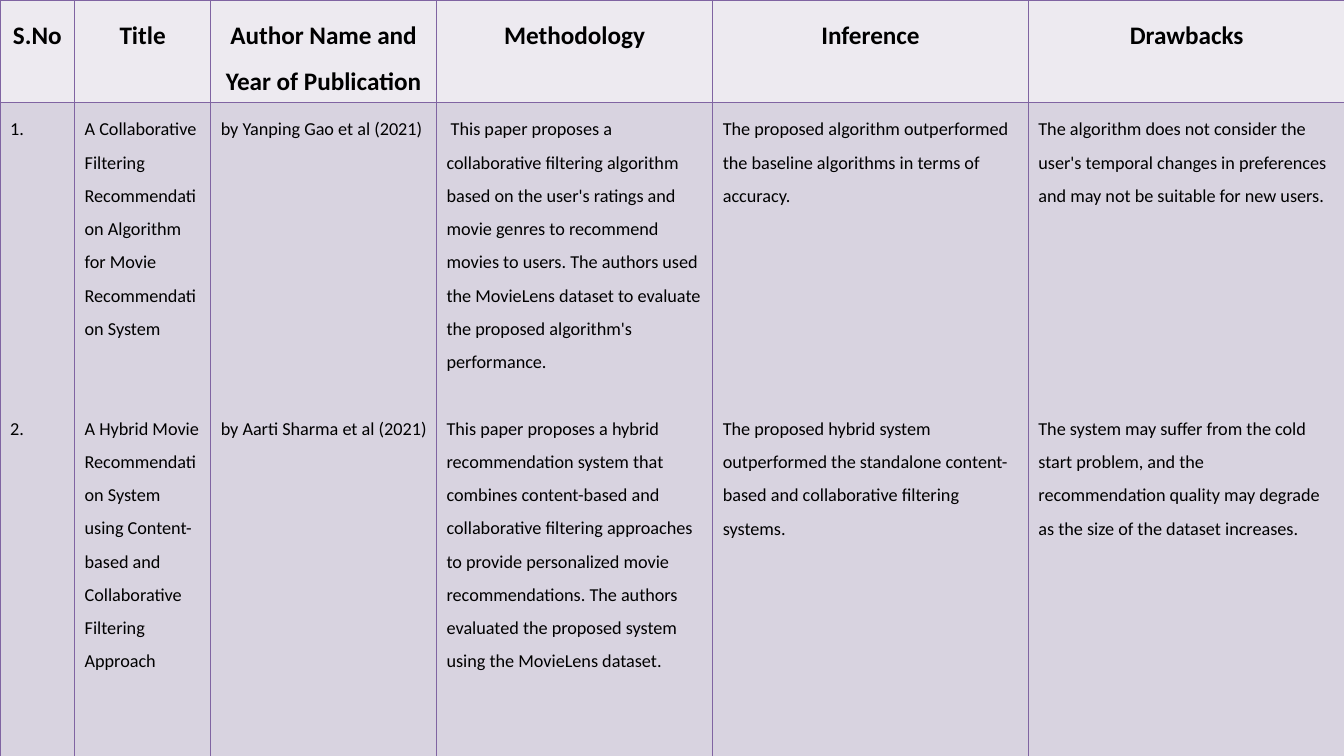
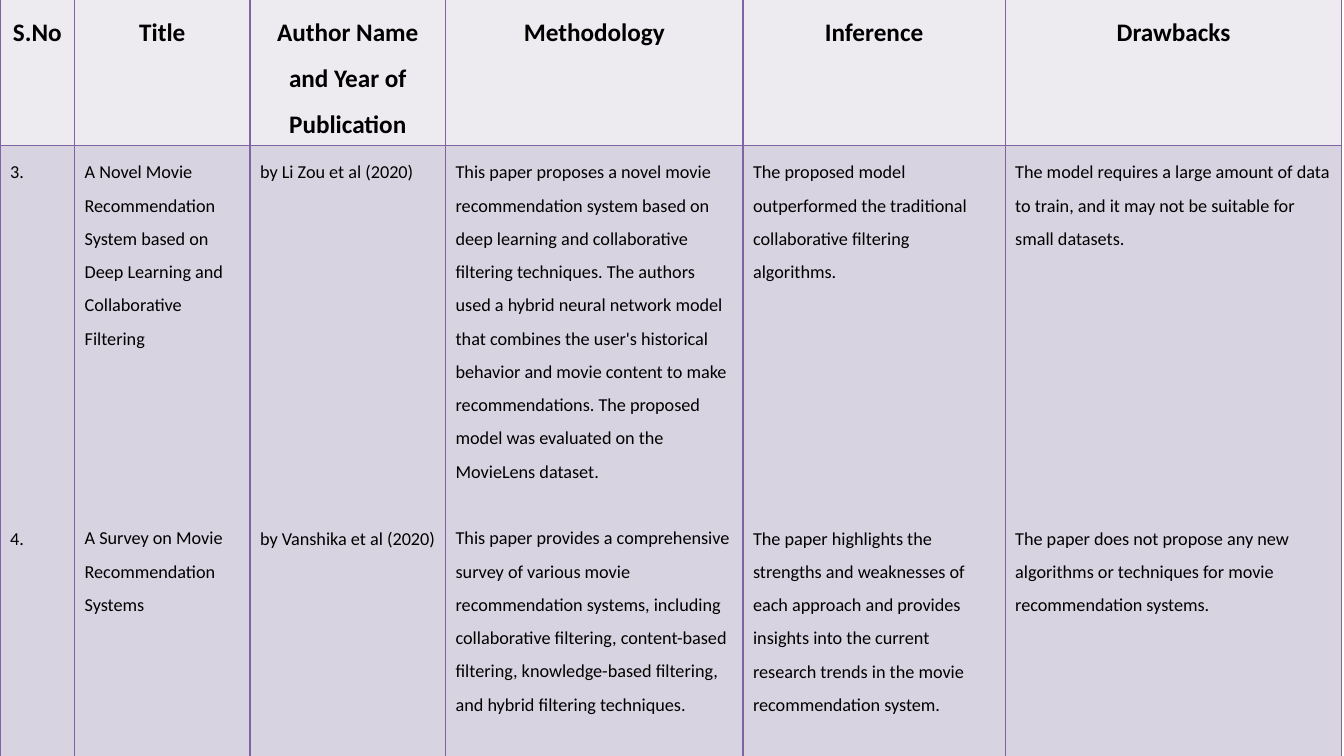
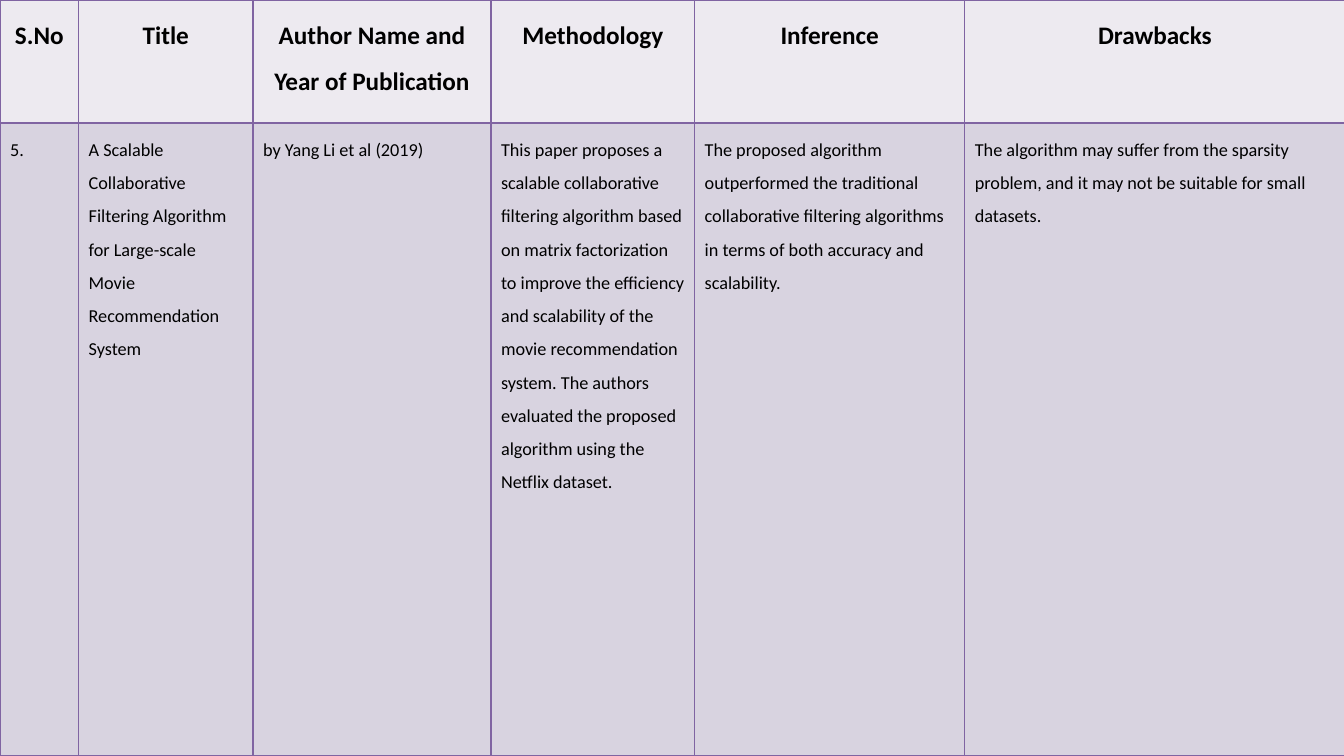
from lxml import etree
from pptx import Presentation
from pptx.dml.color import RGBColor
from pptx.enum.text import PP_ALIGN
from pptx.oxml.ns import qn
from pptx.util import Inches, Pt

CENTER, LEFT = PP_ALIGN.CENTER, PP_ALIGN.LEFT
COLORS = {"text": "000000", "header": "EDEAF0", "body": "D8D3E0", "border": "8064A2"}
FONT = "Calibri"
HEADER_SIZE, BODY_SIZE = 18, 13
LINE_SPACING = 1.5
BODY_LINE = 23.8
BORDER_WIDTH = Pt(1)
HEADINGS = ["S.No", "Title", "Author Name and Year of Publication",
            "Methodology", "Inference", "Drawbacks"]

SURVEY_PAGES = [
    {
        "top": 0,
        "columns": [0.74, 1.35, 2.24, 2.74, 3.13, 3.14],
        "rows": [1.01, 6.5],
        "studies": [
            ["1.",
             "A Collaborative Filtering Recommendation Algorithm for Movie "
             "Recommendation System",
             "by Yanping Gao et al (2021)",
             " This paper proposes a collaborative filtering algorithm based on the "
             "user's ratings and movie genres to recommend movies to users. The authors "
             "used the MovieLens dataset to evaluate the proposed algorithm's performance.",
             "The proposed algorithm outperformed the baseline algorithms in terms of "
             "accuracy.",
             "The algorithm does not consider the user's temporal changes in preferences "
             "and may not be suitable for new users."],
            ["2.",
             "A Hybrid Movie Recommendation System using Content-based and "
             "Collaborative Filtering Approach",
             "by Aarti Sharma et al (2021)",
             "This paper proposes a hybrid recommendation system that combines "
             "content-based and collaborative filtering approaches to provide "
             "personalized movie recommendations. The authors evaluated the proposed "
             "system using the MovieLens dataset.",
             "The proposed hybrid system outperformed the standalone content-based and "
             "collaborative filtering systems.",
             "The system may suffer from the cold start problem, and the recommendation "
             "quality may degrade as the size of the dataset increases."],
        ],
        "gap_lines": [8, 2, 8, 1, 6, 6],
    },
    {
        "top": -0.03,
        "columns": [0.74, 1.74, 1.94, 2.95, 2.6, 3.34],
        "rows": [1.47, 6.12],
        "studies": [
            ["3.",
             "A Novel Movie Recommendation System based on Deep Learning and "
             "Collaborative Filtering",
             "by Li Zou et al (2020)",
             "This paper proposes a novel movie recommendation system based on deep "
             "learning and collaborative filtering techniques. The authors used a hybrid "
             "neural network model that combines the user's historical behavior and movie "
             "content to make recommendations. The proposed model was evaluated on the "
             "MovieLens dataset.",
             "The proposed model outperformed the traditional collaborative filtering "
             "algorithms.",
             "The model requires a large amount of data to train, and it may not be "
             "suitable for small datasets."],
            ["4.",
             "A Survey on Movie Recommendation Systems",
             "by Vanshika et al (2020)",
             "This paper provides a comprehensive survey of various movie recommendation "
             "systems, including collaborative filtering, content-based filtering, "
             "knowledge-based filtering, and hybrid filtering techniques.",
             "The paper highlights the strengths and weaknesses of each approach and "
             "provides insights into the current research trends in the movie "
             "recommendation system.",
             "The paper does not propose any new algorithms or techniques for movie "
             "recommendation systems."],
        ],
        "gap_lines": [10, 5, 10, 1, 7, 8],
    },
    {
        "top": 0,
        "columns": [0.78, 1.73, 2.36, 2.02, 2.68, 3.77],
        "rows": [1.22, 6.28],
        "studies": [
            ["5.",
             "A Scalable Collaborative Filtering Algorithm for Large-scale Movie "
             "Recommendation System",
             "by Yang Li et al (2019)",
             "This paper proposes a scalable collaborative filtering algorithm based on "
             "matrix factorization to improve the efficiency and scalability of the movie "
             "recommendation system. The authors evaluated the proposed algorithm using "
             "the Netflix dataset.",
             "The proposed algorithm outperformed the traditional collaborative filtering "
             "algorithms in terms of both accuracy and scalability.",
             "The algorithm may suffer from the sparsity problem, and it may not be "
             "suitable for small datasets."],
        ],
        "gap_lines": [0] * 6,
    },
]


def style_cell(cell, fill):
    properties = cell._tc.get_or_add_tcPr()
    for side in ("a:lnL", "a:lnR", "a:lnT", "a:lnB"):
        line = etree.SubElement(properties, qn(side), w=str(BORDER_WIDTH))
        solid = etree.SubElement(line, qn("a:solidFill"))
        etree.SubElement(solid, qn("a:srgbClr"), val=COLORS[fill and "border"])
    cell.fill.solid()
    cell.fill.fore_color.rgb = RGBColor.from_string(COLORS[fill])


def write_paragraph(paragraph, text, size, bold=False, align=LEFT, before=0):
    paragraph.text = text
    paragraph.alignment = align
    paragraph.line_spacing = LINE_SPACING
    if before:
        paragraph.space_before = Pt(before)
    font = paragraph.font
    font.name, font.size, font.bold = FONT, Pt(size), bold
    font.color.rgb = RGBColor.from_string(COLORS["text"])


def fill_header(cell, heading):
    style_cell(cell, "header")
    write_paragraph(cell.text_frame.paragraphs[0], heading, HEADER_SIZE, True, CENTER)


def fill_body(cell, entries, gap_lines):
    style_cell(cell, "body")
    frame = cell.text_frame
    for index, entry in enumerate(entries):
        paragraph = frame.add_paragraph() if index else frame.paragraphs[0]
        before = gap_lines * BODY_LINE if index else 0
        write_paragraph(paragraph, entry, BODY_SIZE, before=before)


def add_survey_table(slide, page):
    columns, rows = page["columns"], page["rows"]
    table = slide.shapes.add_table(
        len(rows), len(columns), Inches(0), Inches(page["top"]),
        Inches(sum(columns)), Inches(sum(rows))).table
    table.first_row = table.horz_banding = False
    for row, height in zip(table.rows, rows):
        row.height = Inches(height)
    for index, width in enumerate(columns):
        table.columns[index].width = Inches(width)
        fill_header(table.cell(0, index), HEADINGS[index])
        entries = [study[index] for study in page["studies"]]
        fill_body(table.cell(1, index), entries, page["gap_lines"][index])


def main():
    presentation = Presentation()
    presentation.slide_width = Inches(13.33)
    presentation.slide_height = Inches(7.5)
    blank = presentation.slide_layouts[6]
    for page in SURVEY_PAGES:
        add_survey_table(presentation.slides.add_slide(blank), page)
    presentation.save("out.pptx")


if __name__ == "__main__":
    main()
